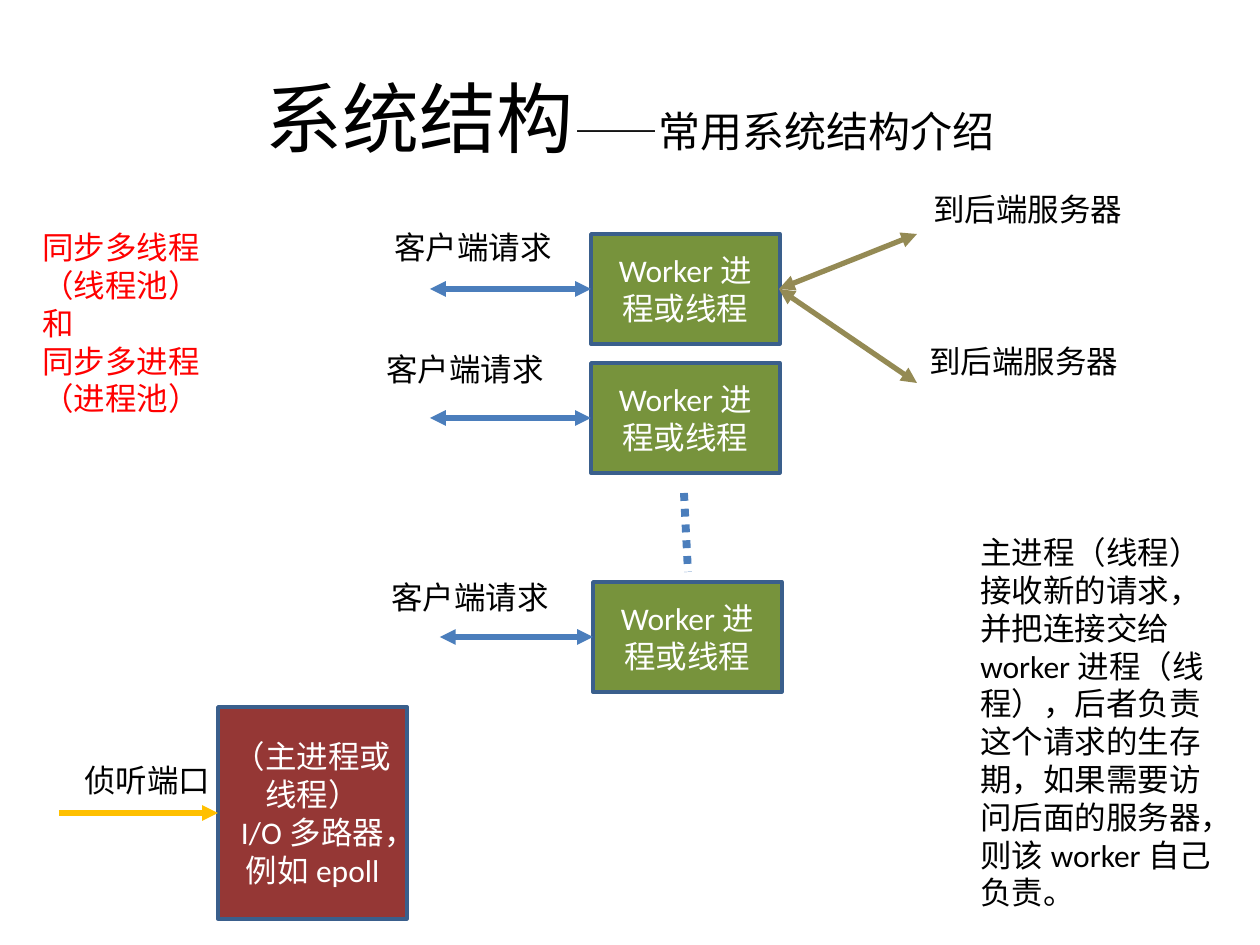
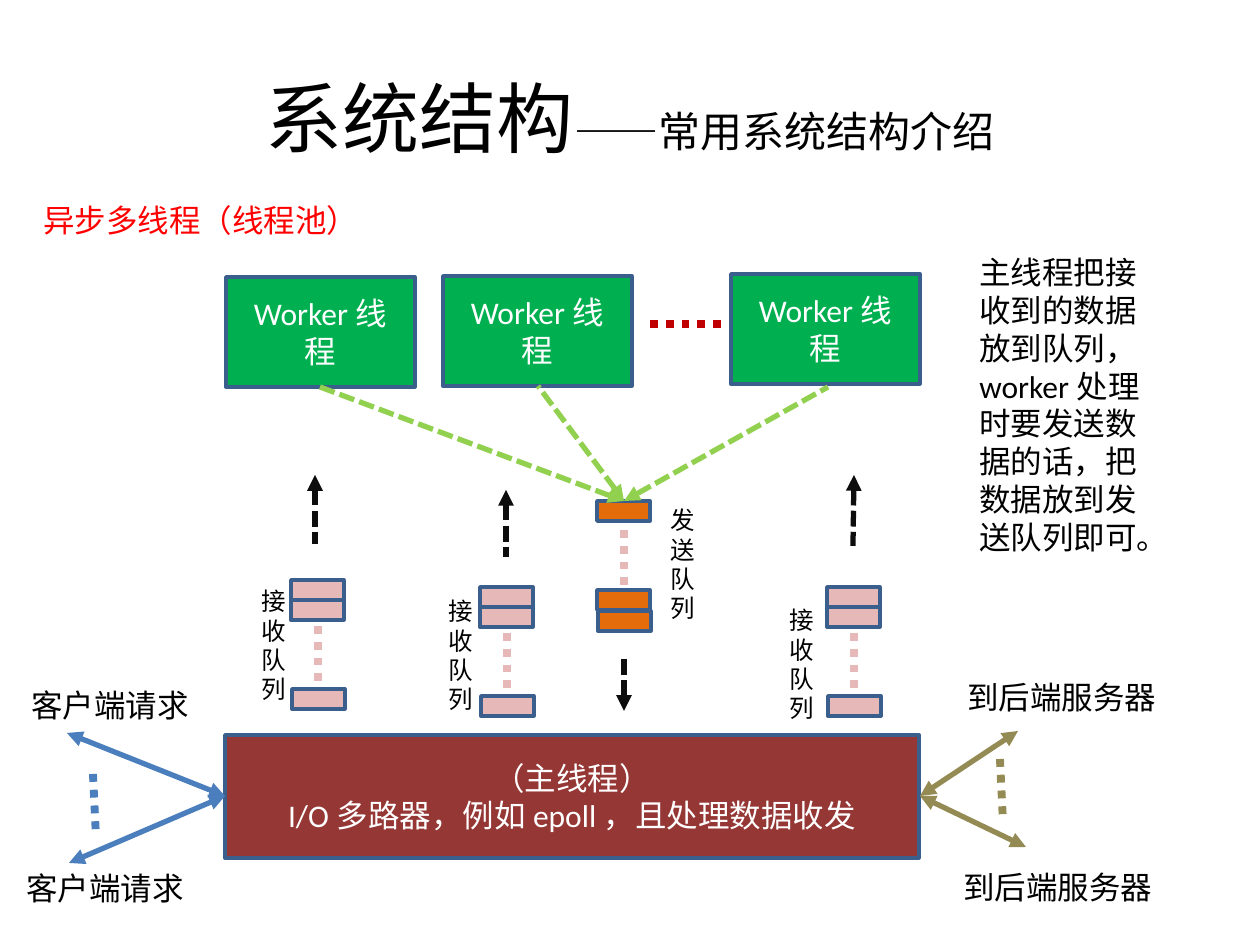
import dataclasses
import lxml.etree
import pptx
import pptx.dml.color
import pptx.enum.dml
import pptx.enum.lang
import pptx.enum.shapes
import pptx.enum.text
import pptx.oxml.ns
import pptx.util


@dataclasses.dataclass(frozen=True)
class Theme:
    font: str = "Calibri"
    title_size: int = 44
    subtitle_size: int = 24
    text_size: int = 18
    queue_size: int = 14
    black: str = "000000"
    white: str = "FFFFFF"
    heading: str = "FF0000"
    outline: str = "3A5F8C"
    main: str = "953735"
    process: str = "77933C"
    thread: str = "00B050"
    receive: str = "E6B9B8"
    send: str = "E46C0A"
    client: str = "4B7EBC"
    backend: str = "948A54"
    listen: str = "FFC000"
    more_threads: str = "C00000"
    flow: str = "0D0D0D"
    reply: str = "92D050"
    outline_width: float = 2
    line_width: float = 3
    dots_width: float = 4.5


theme = Theme()
PIXEL = 914400 / 126
DOTS = pptx.enum.dml.MSO_LINE.ROUND_DOT
DASHES = pptx.enum.dml.MSO_LINE.SQUARE_DOT
CENTER = pptx.enum.text.PP_ALIGN.CENTER
MIDDLE = pptx.enum.text.MSO_ANCHOR.MIDDLE
FIT = pptx.enum.text.MSO_AUTO_SIZE.SHAPE_TO_FIT_TEXT


def place_box(page, area, text="", fill=None, color=theme.black, size=theme.text_size, wrap=True):
    lengths = [round(value * PIXEL) for value in area]
    if fill:
        box = page.shapes.add_shape(pptx.enum.shapes.MSO_SHAPE.RECTANGLE, *lengths)
        box.shadow.inherit = False
        box.fill.solid()
        box.fill.fore_color.rgb = pptx.dml.color.RGBColor.from_string(fill)
        box.line.color.rgb = pptx.dml.color.RGBColor.from_string(theme.outline)
        box.line.width = pptx.util.Pt(theme.outline_width)
        frame_format = {"word_wrap": wrap, "vertical_anchor": MIDDLE}
    else:
        box = page.shapes.add_textbox(*lengths)
        frame_format = {"word_wrap": wrap, "auto_size": FIT}
    for name, value in frame_format.items():
        setattr(box.text_frame, name, value)
    if not text:
        return
    span_format = {
        "name": theme.font,
        "size": pptx.util.Pt(size),
        "language_id": pptx.enum.lang.MSO_LANGUAGE_ID.SIMPLIFIED_CHINESE,
    }
    box.text_frame.text = text
    for para in box.text_frame.paragraphs:
        if fill:
            para.alignment = CENTER
        for span in para.runs:
            for name, value in span_format.items():
                setattr(span.font, name, value)
            span.font.color.rgb = pptx.dml.color.RGBColor.from_string(color)


def draw_line(page, start, end, color, ends=(), dash=None):
    points = [round(value * PIXEL) for value in (*start, *end)]
    line = page.shapes.add_connector(pptx.enum.shapes.MSO_CONNECTOR.STRAIGHT, *points)
    line.line.color.rgb = pptx.dml.color.RGBColor.from_string(color)
    line.line.width = pptx.util.Pt(theme.dots_width if dash == DOTS else theme.line_width)
    if dash:
        line.line.dash_style = dash
    outline = line.element.spPr.find(pptx.oxml.ns.qn("a:ln"))
    for name in ends:
        lxml.etree.SubElement(outline, pptx.oxml.ns.qn("a:" + name), type="triangle")
    lxml.etree.SubElement(line.element.spPr, pptx.oxml.ns.qn("a:effectLst"))


BOTH = ("headEnd", "tailEnd")
HEAD = ("headEnd",)
TAIL = ("tailEnd",)
WORKER_WIDTH, WORKER_HEIGHT = 189, 110
CLIENT_LABEL = (184, 50)
BACKEND_LABEL = (217, 50)
CLIENT_TEXT = "客户端请求"
BACKEND_TEXT = "到后端服务器"

deck = pptx.Presentation()
deck.slide_width = pptx.util.Inches(10)
deck.slide_height = pptx.util.Inches(7.5)

pages = []
for number in range(2):
    page = deck.slides.add_slide(deck.slide_layouts[5])
    title = page.shapes.title
    title_area = {"left": 63, "top": 38, "width": 1134, "height": 157}
    for name, value in title_area.items():
        setattr(title, name, round(value * PIXEL))
    title.text_frame.vertical_anchor = MIDDLE
    para = title.text_frame.paragraphs[0]
    para.alignment = CENTER
    for text, size in (("系统结构", theme.title_size), ("——常用系统结构介绍", theme.subtitle_size)):
        span = para.add_run()
        span.text = text
        title_format = {
            "name": theme.font,
            "size": pptx.util.Pt(size),
            "language_id": pptx.enum.lang.MSO_LANGUAGE_ID.SIMPLIFIED_CHINESE,
        }
        for name, value in title_format.items():
            setattr(span.font, name, value)
        span.font.color.rgb = pptx.dml.color.RGBColor.from_string(theme.black)
    pages.append(page)
sync_page, async_page = pages

place_box(sync_page, (218, 707, 189, 212), "（主进程或线程）\nI/O多路器，例如epoll", theme.main, theme.white)
for left, top, line_left, label_left, label_top in (
    (591, 234, 430, 382, 222),
    (591, 363, 430, 374, 344),
    (593, 582, 440, 379, 572),
):
    middle = top + WORKER_HEIGHT // 2
    place_box(sync_page, (left, top, WORKER_WIDTH, WORKER_HEIGHT), "Worker进程或线程", theme.process, theme.white)
    draw_line(sync_page, (line_left, middle), (left, middle), theme.client, BOTH)
    place_box(sync_page, (label_left, label_top, *CLIENT_LABEL), CLIENT_TEXT, wrap=False)
draw_line(sync_page, (684, 493), (688, 572), theme.client, dash=DOTS)
draw_line(sync_page, (59, 813), (218, 813), theme.listen, TAIL)
place_box(sync_page, (72, 755, 152, 50), "侦听端口", wrap=False)
for end, label in (((917, 234), (921, 184)), ((917, 383), (917, 336))):
    draw_line(sync_page, (779, 289), end, theme.backend, BOTH)
    place_box(sync_page, (*label, *BACKEND_LABEL), BACKEND_TEXT, wrap=False)
place_box(
    sync_page,
    (30, 222, 184, 204),
    "同步多线程\n（线程池）\n和\n同步多进程\n（进程池）",
    color=theme.heading,
    wrap=False,
)
place_box(
    sync_page,
    (968, 527, 258, 394),
    "主进程（线程）接收新的请求，并把连接交给worker进程（线程），后者负责这个请求的生存期，"
    "如果需要访问后面的服务器，则该worker自己负责。",
)

place_box(
    async_page,
    (225, 735, 694, 123),
    "（主线程）\nI/O多路器，例如epoll，且处理数据收发",
    theme.main,
    theme.white,
)
for left, top in ((731, 274), (443, 276), (226, 277)):
    place_box(async_page, (left, top, WORKER_WIDTH, WORKER_HEIGHT), "Worker线程", theme.thread, theme.white)
draw_line(async_page, (721, 324), (650, 324), theme.more_threads, dash=DOTS)
place_box(async_page, (31, 195, 344, 50), "异步多线程（线程池）", color=theme.heading, wrap=False)

for hub, color, text, label_size, ends, dots in (
    ((225, 796), theme.client, CLIENT_TEXT, CLIENT_LABEL,
     (((69, 863), (14, 863)), ((67, 733), (19, 680))), ((93, 774), (96, 837))),
    ((920, 796), theme.backend, BACKEND_TEXT, BACKEND_LABEL,
     (((1026, 847), (951, 862)), ((1018, 731), (955, 672))), ((1000, 759), (1003, 822))),
):
    for end, label in ends:
        draw_line(async_page, hub, end, color, BOTH)
        place_box(async_page, (*label, *label_size), text, wrap=False)
    draw_line(async_page, *dots, color, dash=DOTS)

for left, top, cells, fill, dots_top, text, label in (
    (291, 580, (0, 20, 109), theme.receive, 46, "接收队列", (249, 580)),
    (480, 587, (0, 20, 109), theme.receive, 46, "接收队列", (436, 590)),
    (827, 587, (0, 20, 109), theme.receive, 46, "接收队列", (777, 599)),
    (597, 501, (0, 89, 110), theme.send, 29, "发送队列", (658, 499)),
):
    for offset in cells:
        place_box(async_page, (left + offset // 100, top + offset, 53, 20), fill=fill)
    center = left + 27
    draw_line(async_page, (center, top + dots_top), (center, top + dots_top + 63), theme.receive, dash=DOTS)
    place_box(async_page, (*label, 44, 131), text, size=theme.queue_size)

for tip, tail in (
    ((315, 475), (315, 544)),
    ((854, 475), (853, 546)),
    ((506, 490), (506, 557)),
    ((624, 711), (624, 655)),
):
    draw_line(async_page, tip, tail, theme.flow, HEAD, DASHES)
for worker_bottom in ((320, 387), (538, 386), (828, 387)):
    draw_line(async_page, (624, 501), worker_bottom, theme.reply, HEAD, DASHES)
place_box(
    async_page,
    (967, 247, 193, 318),
    "主线程把接收到的数据放到队列，worker处理时要发送数据的话，把数据放到发送队列即可。",
)

deck.save("out.pptx")
